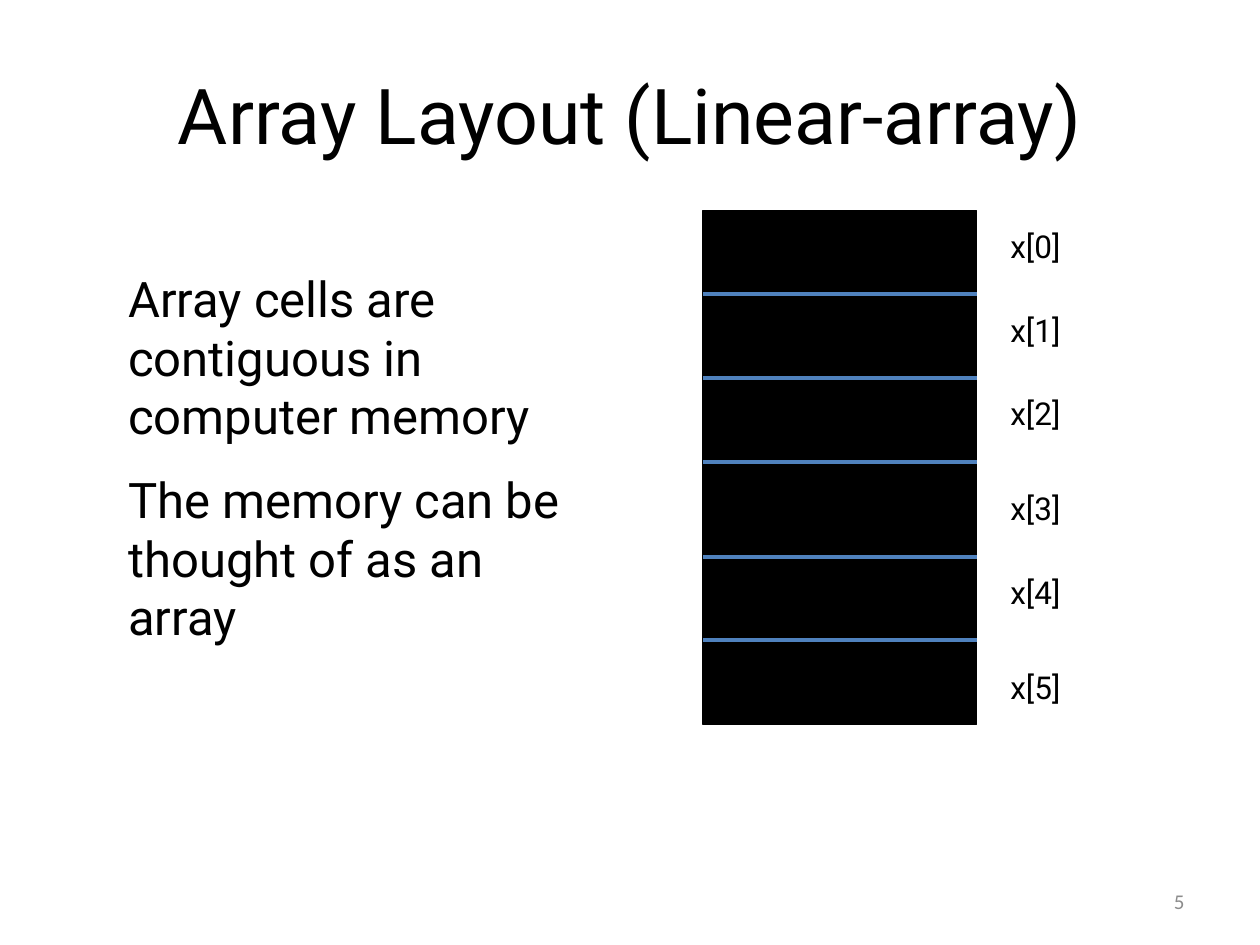
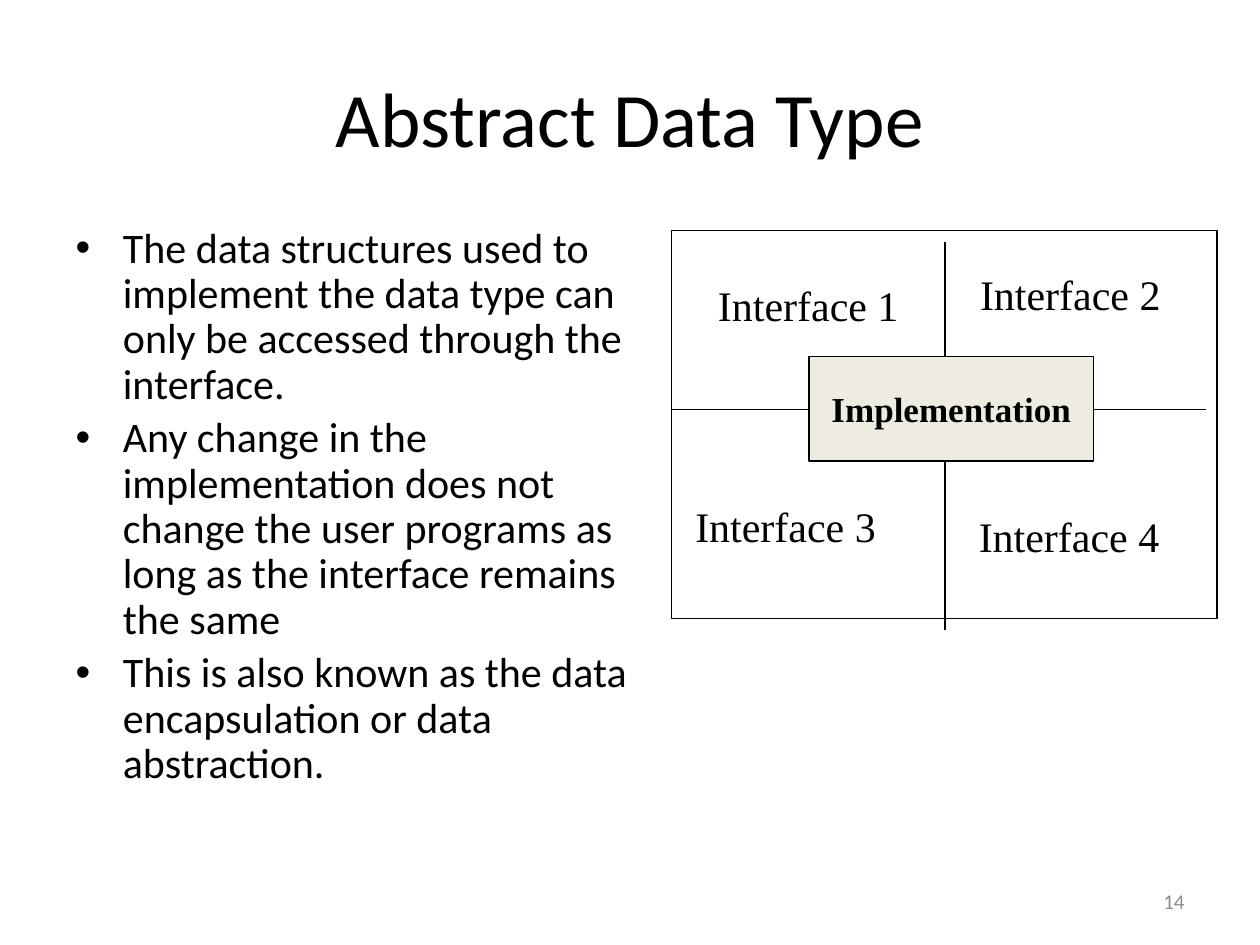
import pptx
import pptx.util
import pptx.dml.color
import pptx.enum.shapes
import pptx.enum.text
from lxml import etree

Inches = pptx.util.Inches
Pt = pptx.util.Pt
RGBColor = pptx.dml.color.RGBColor
PP_ALIGN = pptx.enum.text.PP_ALIGN
MSO_ANCHOR = pptx.enum.text.MSO_ANCHOR
MSO_AUTO_SIZE = pptx.enum.text.MSO_AUTO_SIZE

BLACK = RGBColor(0x00, 0x00, 0x00)
WHITE = RGBColor(0xFF, 0xFF, 0xFF)
BLUE = RGBColor(0x4F, 0x81, 0xBD)
CREAM = RGBColor(0xEE, 0xEC, 0xE1)
GREY = RGBColor(0x8C, 0x8C, 0x8C)

SANS = "Roboto"
DEFAULT = "Calibri"
SERIF = "Times New Roman"

TITLE_ONLY = 5
TITLE_AND_CONTENT = 1
EFFECT_LIST = "{http://schemas.openxmlformats.org/drawingml/2006/main}effectLst"


# Shared building parts
def place(shape, box):
    shape.left, shape.top, shape.width, shape.height = map(Inches, box)


def write(shape, lines, size, font, color=BLACK, bold=False, align=None,
          space=0, line_spacing=None, anchor=None, wrap=True):
    frame = shape.text_frame
    frame.text = "\n".join(lines)
    frame.word_wrap = wrap
    frame.auto_size = MSO_AUTO_SIZE.NONE
    if anchor is not None:
        frame.vertical_anchor = anchor
    for index, paragraph in enumerate(frame.paragraphs):
        paragraph.alignment = align
        paragraph.space_before = Pt(space if index else 0)
        paragraph.line_spacing = line_spacing
        paragraph.font.size = Pt(size)
        paragraph.font.name = font
        paragraph.font.bold = bold
        paragraph.font.color.rgb = color


def add_text(slide, box, lines, size, font, **style):
    text_box = slide.shapes.add_textbox(*map(Inches, box))
    write(text_box, lines, size, font, **style)


def add_rectangle(slide, box, fill):
    rectangle = slide.shapes.add_shape(
        pptx.enum.shapes.MSO_SHAPE.RECTANGLE, *map(Inches, box))
    rectangle.shadow.inherit = False
    rectangle.fill.solid()
    rectangle.fill.fore_color.rgb = fill
    rectangle.line.color.rgb = BLACK
    rectangle.line.width = Pt(0.75)
    return rectangle


def add_line(slide, start, end, color, width):
    line = slide.shapes.add_connector(
        pptx.enum.shapes.MSO_CONNECTOR.STRAIGHT, *map(Inches, start + end))
    line.line.color.rgb = color
    line.line.width = Pt(width)
    etree.SubElement(line._element.spPr, EFFECT_LIST)


def add_titled_slide(presentation, layout, title, box, font, number):
    slide = presentation.slides.add_slide(presentation.slide_layouts[layout])
    place(slide.shapes.title, box)
    write(slide.shapes.title, [title], 44, font,
          align=PP_ALIGN.CENTER, anchor=MSO_ANCHOR.MIDDLE)
    add_text(slide, (7.17, 6.95, 2.33, 0.4), [str(number)], 12, DEFAULT,
             color=GREY, align=PP_ALIGN.RIGHT, anchor=MSO_ANCHOR.MIDDLE)
    return slide


# Memory block with one labelled cell per array element
def add_memory(slide, box):
    left, top, width, height = box
    add_rectangle(slide, box, BLACK)
    cell_tops = [0, 0.66, 1.33, 2, 2.75, 3.41]
    label_tops = [0.08, 0.75, 1.41, 2.16, 2.83, 3.58]
    for cell_top in cell_tops[1:]:
        y = top + cell_top
        add_line(slide, (left, y), (left + width, y), BLUE, 2.25)
    for index, label_top in enumerate(label_tops):
        add_text(slide, (left + width + 0.17, top + label_top, 0.65, 0.43),
                 [f"x[{index}]"], 18, SANS, wrap=False)


# Four interfaces around a shared implementation
def add_interfaces(slide, box):
    left, top, width, height = box
    add_rectangle(slide, box, WHITE)
    cross_x, cross_y = left + 2.17, top + 1.42
    add_line(slide, (left, cross_y), (left + 4.24, cross_y), BLACK, 0.75)
    add_line(slide, (cross_x, top + 0.09), (cross_x, top + 3.17), BLACK, 0.75)
    label_offsets = [(0.27, 0.34), (2.35, 0.25), (0.09, 2.09), (2.34, 2.17)]
    for number, (x, y) in enumerate(label_offsets, start=1):
        add_text(slide, (left + x, top + y, 1.63, 0.5),
                 [f"Interface {number}"], 24, SERIF, wrap=False)
    core = add_rectangle(slide, (left + 1.09, top + 1, 2.26, 0.83), CREAM)
    write(core, ["Implementation"], 20, SERIF, bold=True, wrap=False,
          align=PP_ALIGN.CENTER, anchor=MSO_ANCHOR.MIDDLE)


def build_array_layout(presentation):
    slide = add_titled_slide(presentation, TITLE_ONLY, "Array Layout (Linear-array)",
                             (0.5, 0.4, 9, 1), SANS, 5)
    add_memory(slide, (5.58, 1.67, 2.17, 4.08))
    add_text(slide, (0.92, 2.08, 3.92, 3.14), [
        "Array cells are contiguous in computer memory",
        "The memory can be thought of as an array",
    ], 28, SANS, space=14)


def build_abstract_data_type(presentation):
    slide = add_titled_slide(presentation, TITLE_AND_CONTENT, "Abstract Data Type",
                             (0.5, 0.3, 9, 1.25), DEFAULT, 14)
    body = slide.placeholders[1]
    place(body, (0.5, 1.75, 4.67, 4.95))
    write(body, [
        "The data structures used to implement the data type can only be "
        "accessed through the interface.",
        "Any change in the implementation does not change the user programs "
        "as long as the interface remains the same",
        "This is also known as the data encapsulation or data abstraction.",
    ], 24, DEFAULT, space=4.8, line_spacing=0.9)
    add_interfaces(slide, (5.33, 1.83, 4.33, 3.08))


def main():
    presentation = pptx.Presentation()
    presentation.slide_width = Inches(10)
    presentation.slide_height = Inches(7.5)
    build_array_layout(presentation)
    build_abstract_data_type(presentation)
    presentation.save("out.pptx")


if __name__ == "__main__":
    main()
